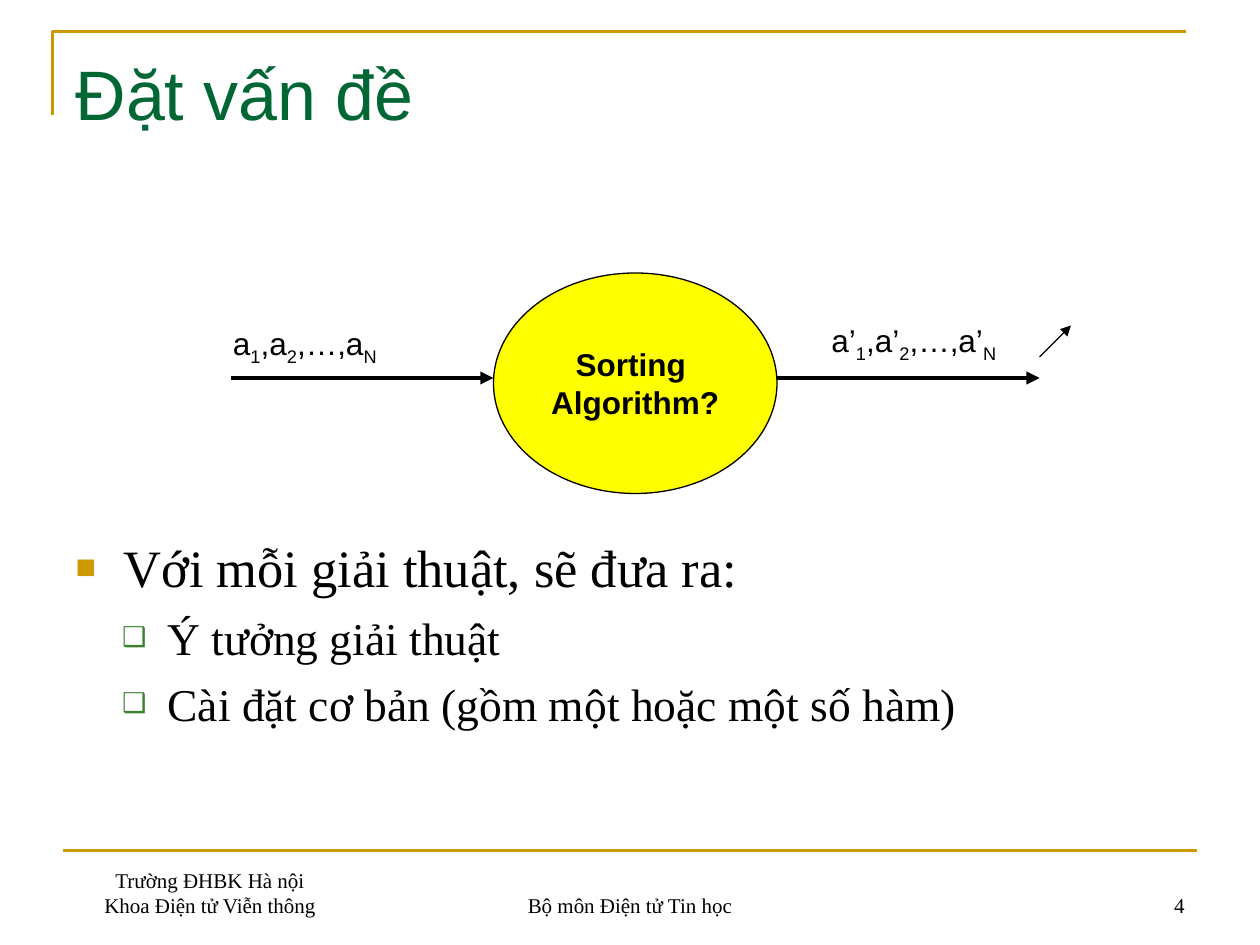
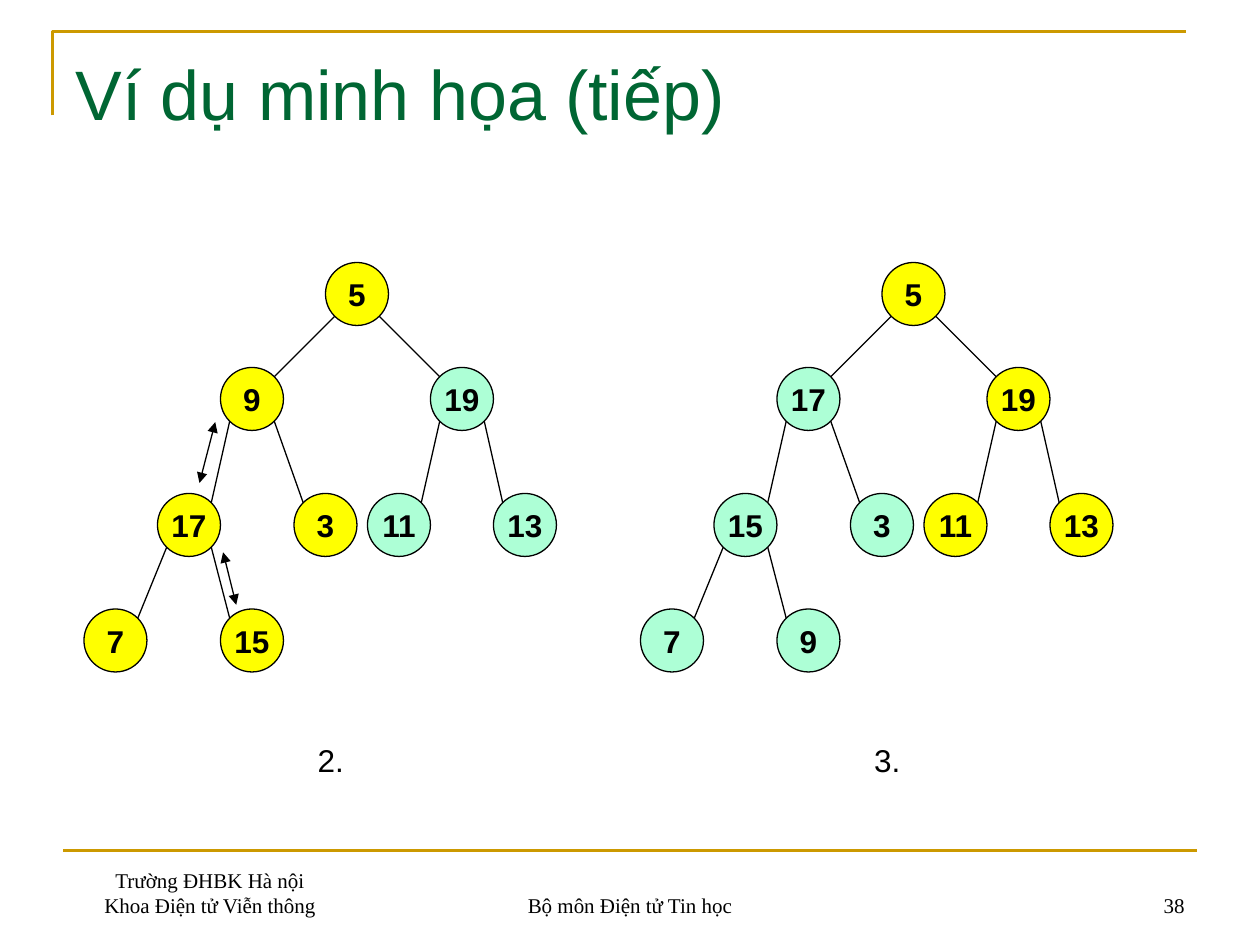
from dataclasses import dataclass
from math import sqrt

from lxml import etree
from pptx import Presentation
from pptx import util as u
from pptx.dml import color
from pptx.enum import shapes, text
from pptx.oxml import ns

COLUMNS, ROWS = 120, 90
CELL = u.Inches(10) // COLUMNS


@dataclass(frozen=True)
class Theme:
    gold: str = "CC9900"
    title_green: str = "006633"
    bullet_green: str = "3B812F"
    yellow: str = "FFFF00"
    mint: str = "ADFFD6"
    ink: str = "000000"
    sans: str = "Arial"
    serif: str = "Times New Roman"
    title_size: int = 40
    list_sizes: tuple = (30, 26)
    figure_size: int = 18
    footer_size: int = 12
    thin: float = 0.75
    rule: float = 1.5
    thick: float = 2.5


THEME = Theme()
LEFT, CENTER, RIGHT = text.PP_ALIGN.LEFT, text.PP_ALIGN.CENTER, text.PP_ALIGN.RIGHT
TOP, MIDDLE, BOTTOM = (text.MSO_ANCHOR.TOP, text.MSO_ANCHOR.MIDDLE,
                       text.MSO_ANCHOR.BOTTOM)

BULLETS = (
    dict(char="■", tint=THEME.gold, share=65, margin=0.38, hang=0.38, before=7.5),
    dict(char="❑", tint=THEME.bullet_green, share=60, margin=0.73, hang=0.36, before=6.5),
)

FOOTERS = (
    (6, 28, CENTER, ("Trường ĐHBK Hà nội", "Khoa Điện tử Viễn thông")),
    (41, 38, CENTER, ("Bộ môn Điện tử Tin học",)),
)
PAGE_NUMBER = (86, 28, RIGHT)

NODE_SIZE = 6
NODE_SPOTS = ((31, 25), (21, 35), (41, 35), (15, 47), (28, 47), (35, 47),
              (47, 47), (8, 58), (21, 58))
TREE_SHIFT = 53


def grid(*cells):
    return [u.Emu(round(cell * CELL)) for cell in cells]


def rgb(value):
    return color.RGBColor.from_string(value)


def set_all(target, formats):
    for name, value in formats.items():
        setattr(target, name, value)


def style_font(font, size, face, tint=THEME.ink, bold=False):
    set_all(font, dict(size=u.Pt(size), name=face, bold=bold))
    font.color.rgb = rgb(tint)


def style_outline(line, tint, width):
    line.color.rgb = rgb(tint)
    line.width = u.Pt(width)


def write_lines(frame, lines, align, size, face, bold=False):
    for index, line in enumerate(lines):
        paragraph = frame.add_paragraph() if index else frame.paragraphs[0]
        paragraph.alignment = align
        run = paragraph.add_run()
        run.text = line
        style_font(run.font, size, face, bold=bold)


def add_label(slide, area, anchor=TOP):
    frame = slide.shapes.add_textbox(*grid(*area)).text_frame
    set_all(frame, dict(word_wrap=True, vertical_anchor=anchor))
    return frame


def add_line(slide, start, end, tint=THEME.ink, width=THEME.thin, heads=()):
    line = slide.shapes.add_connector(shapes.MSO_CONNECTOR.STRAIGHT, *grid(*start, *end))
    style_outline(line.line, tint, width)
    outline = line.line._get_or_add_ln()
    for head in heads:
        etree.SubElement(outline, ns.qn(f"a:{head}"), type="triangle")
    etree.SubElement(line._element.spPr, ns.qn("a:effectLst"))


def add_ellipse(slide, area, fill, lines, frame_formats):
    ellipse = slide.shapes.add_shape(shapes.MSO_SHAPE.OVAL, *grid(*area))
    ellipse.shadow.inherit = False
    ellipse.fill.solid()
    ellipse.fill.fore_color.rgb = rgb(fill)
    style_outline(ellipse.line, THEME.ink, THEME.thin)
    set_all(ellipse.text_frame, dict(vertical_anchor=MIDDLE, **frame_formats))
    write_lines(ellipse.text_frame, lines, CENTER, THEME.figure_size, THEME.sans, bold=True)


def add_bracket(slide):
    builder = slide.shapes.build_freeform(*grid(5, 11))
    builder.add_line_segments([grid(5, 3), grid(113, 3)], close=False)
    bracket = builder.convert_to_shape()
    bracket.shadow.inherit = False
    bracket.fill.background()
    style_outline(bracket.line, THEME.gold, THEME.rule)


def place(holder, area):
    set_all(holder, dict(zip(("left", "top", "width", "height"), grid(*area))))


def add_page(deck, layout, heading, number):
    slide = deck.slides.add_slide(deck.slide_layouts.get_by_name(layout))
    add_bracket(slide)
    add_line(slide, (6, 81), (114, 81), THEME.gold, THEME.rule)
    for left, width, align, lines in (*FOOTERS, (*PAGE_NUMBER, (str(number),))):
        frame = add_label(slide, (left, 82, width, 6), BOTTOM)
        write_lines(frame, lines, align, THEME.footer_size, THEME.serif)

    title = slide.shapes.title
    place(title, (6, 3.6, 108, 15))
    title.text_frame.text = heading
    set_all(title.text_frame, dict(vertical_anchor=TOP, margin_top=u.Inches(0.1),
                                   auto_size=text.MSO_AUTO_SIZE.NONE))
    paragraph = title.text_frame.paragraphs[0]
    paragraph.alignment = LEFT
    style_font(paragraph.runs[0].font, THEME.title_size, THEME.sans, THEME.title_green)
    return slide


def add_bullet(paragraph, char, tint, share, margin, hang, before):
    paragraph.space_before = u.Pt(before)
    properties = paragraph._p.get_or_add_pPr()
    properties.set("marL", str(u.Inches(margin)))
    properties.set("indent", str(-u.Inches(hang)))
    tint_holder = etree.SubElement(properties, ns.qn("a:buClr"))
    etree.SubElement(tint_holder, ns.qn("a:srgbClr"), val=tint)
    etree.SubElement(properties, ns.qn("a:buSzPct"), val=str(share * 1000))
    etree.SubElement(properties, ns.qn("a:buFont"), typeface=THEME.sans)
    etree.SubElement(properties, ns.qn("a:buChar"), char=char)


def fill_list(slide, items):
    body = slide.placeholders[1]
    place(body, (6, 21, 108, 59.4))
    frame = body.text_frame
    set_all(frame, dict(vertical_anchor=TOP, margin_top=u.Inches(2.5),
                        auto_size=text.MSO_AUTO_SIZE.NONE))
    write_lines(frame, [item for _, item in items], LEFT, THEME.list_sizes[0], THEME.serif)
    for paragraph, (level, _) in zip(frame.paragraphs, items):
        paragraph.level = level
        paragraph.runs[0].font.size = u.Pt(THEME.list_sizes[level])
        add_bullet(paragraph, **BULLETS[level])


def add_sequence(slide, left, top, symbol):
    paragraph = add_label(slide, (left, top, 21, 5.25)).paragraphs[0]
    for lead, subscript in (("", "1"), (",", "2"), (",…,", "N")):
        for part, offset in ((lead + symbol, 0), (subscript, -25000)):
            run = paragraph.add_run()
            run.text = part
            style_font(run.font, THEME.figure_size, THEME.sans)
            run._r.get_or_add_rPr().set("baseline", str(offset))


def add_tree(slide, shift, values, yellow, caption):
    spots = [(left + shift, top) for left, top in NODE_SPOTS]
    for index, (spot, value) in enumerate(zip(spots, values)):
        fill = THEME.yellow if index in yellow else THEME.mint
        add_ellipse(slide, (*spot, NODE_SIZE, NODE_SIZE), fill, [str(value)],
                    dict(margin_left=0, margin_right=0, word_wrap=True))
    radius = NODE_SIZE / 2
    reach = radius / sqrt(2)
    centers = [(left + radius, top + radius) for left, top in spots]
    for child, (x, y) in enumerate(centers[1:], 1):
        parent_x, parent_y = centers[(child - 1) // 2]
        side = -reach if child % 2 else reach
        add_line(slide, (parent_x + side, parent_y + reach), (x - side, y - reach))
    frame = add_label(slide, (25 + shift, 70, 13, 4.8))
    write_lines(frame, [caption], CENTER, THEME.figure_size, THEME.sans)


def build_problem(deck):
    slide = add_page(deck, "Title and Content", "Đặt vấn đề", 4)
    fill_list(slide, (
        (0, "Với mỗi giải thuật, sẽ đưa ra:"),
        (1, "Ý tưởng giải thuật"),
        (1, "Cài đặt cơ bản (gồm một hoặc một số hàm)"),
    ))
    add_ellipse(slide, (47, 26, 27, 21), THEME.yellow, ("Sorting ", "Algorithm?"),
                dict(word_wrap=False))
    for start in (22, 74):
        add_line(slide, (start, 36), (start + 25, 36), width=THEME.thick, heads=("tailEnd",))
    add_sequence(slide, 21, 30.25, "a")
    add_sequence(slide, 78, 30, "a’")
    add_line(slide, (99, 34), (102, 31), heads=("tailEnd",))


def build_example(deck):
    slide = add_page(deck, "Title Only", "Ví dụ minh họa (tiếp)", 38)
    add_tree(slide, 0, (5, 9, 19, 17, 3, 11, 13, 7, 15), {0, 1, 3, 4, 7, 8}, "2.")
    add_tree(slide, TREE_SHIFT, (5, 17, 19, 15, 3, 11, 13, 7, 9), {0, 2, 5, 6}, "3.")
    for start, end in (((20.5, 40.2), (19, 46)), ((21.25, 52.6), (22.5, 57.6))):
        add_line(slide, start, end, heads=("headEnd", "tailEnd"))


def main():
    deck = Presentation()
    deck.slide_width, deck.slide_height = grid(COLUMNS, ROWS)
    build_problem(deck)
    build_example(deck)
    deck.save("out.pptx")


if __name__ == "__main__":
    main()
